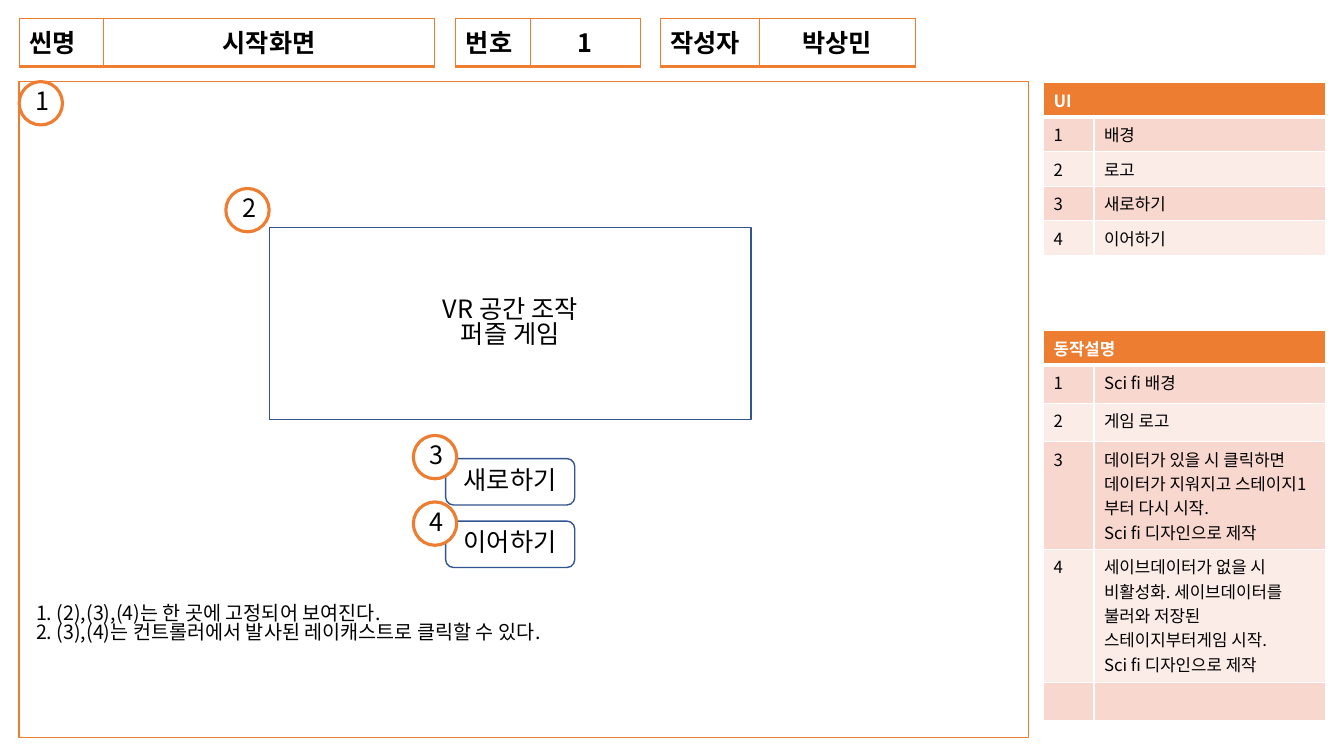
"""Builds the storyboard slide for the start screen of a VR puzzle game."""
import dataclasses

import lxml.etree
import pptx
import pptx.dml.color
import pptx.enum.shapes
import pptx.enum.text
import pptx.oxml.ns
import pptx.util

HEADS = [
    (19, (84, 328), ("씬명", "시작화면")),
    (452, (74, 109), ("번호", "1")),
    (655, (98, 155), ("작성자", "박상민")),
]
GUIDES = [
    (82, "UI", (33, 34, 34, 34, 34),
     [["배경"], ["로고"], ["새로하기"], ["이어하기"]]),
    (328, "동작설명", (33, 38, 38, 106, 132, 34),
     [["Sci fi 배경"], ["게임 로고"],
      ["데이터가 있을 시 클릭하면 데이터가 지워지고 스테이지1부터 다시 시작.",
       "Sci fi 디자인으로 제작"],
      ["세이브데이터가 없을 시 비활성화. 세이브데이터를 불러와 저장된 스테이지부터게임 시작.",
       "Sci fi 디자인으로 제작"],
      []]),
]
LOGO = ["VR 공간 조작", "퍼즐 게임"]
BUTTONS = ["새로하기", "이어하기"]
BADGES = [(19, 81), (224, 187), (410, 432), (410, 498)]
NOTES = [
    "1. (2),(3),(4)는 한 곳에 고정되어 보여진다.",
    "2. (3),(4)는 컨트롤러에서 발사된 레이캐스트로 클릭할 수 있다.",
]


@dataclasses.dataclass(frozen=True)
class Theme:
    font: str = "Noto Sans CJK KR"
    orange: str = "ED7D31"
    blue: str = "325491"
    dark: str = "F8D7CE"
    pale: str = "FCECE8"
    white: str = "FFFFFF"
    black: str = "000000"
    large: int = 18
    note: int = 14
    small: int = 12
    tight: float = 0.82


THEME = Theme()
KIND = pptx.enum.shapes.MSO_SHAPE
ALIGN = pptx.enum.text.PP_ALIGN
MIDDLE = pptx.enum.text.MSO_ANCHOR.MIDDLE
rgb = pptx.dml.color.RGBColor.from_string
tag = pptx.oxml.ns.qn


def px(size):
    return pptx.util.Emu(size * 9144)


def write(frame, lines, size=THEME.large, color=THEME.black, bold=False,
          align=ALIGN.LEFT, space=None):
    frame.word_wrap = True
    for index, line in enumerate(lines):
        para = frame.add_paragraph() if index else frame.paragraphs[0]
        para.alignment = align
        para.line_spacing = space
        run = para.add_run()
        run.text = line
        font = run.font
        font.name, font.size, font.bold = THEME.font, pptx.util.Pt(size), bold
        font.color.rgb = rgb(color)
        east = lxml.etree.SubElement(font._element, tag("a:ea"))
        east.set("typeface", THEME.font)


def add_shape(slide, kind, box, color, width=1, fill=None, lines=()):
    shape = slide.shapes.add_shape(kind, *map(px, box))
    shape.shadow.inherit = False
    shape.line.color.rgb = rgb(color)
    shape.line.width = pptx.util.Pt(width)
    if fill:
        shape.fill.solid()
        shape.fill.fore_color.rgb = rgb(fill)
    else:
        shape.fill.background()
    shape.text_frame.vertical_anchor = MIDDLE
    write(shape.text_frame, lines, align=ALIGN.CENTER, space=THEME.tight)


def paint(cell, color, base, fill=None):
    props = cell._tc.get_or_add_tcPr()
    for side, width in zip("LRTB", (1, 1, 1, base)):
        edge = lxml.etree.SubElement(props, tag("a:ln" + side), w=str(width * 12700))
        solid = lxml.etree.SubElement(edge, tag("a:solidFill"))
        lxml.etree.SubElement(solid, tag("a:srgbClr"), val=color)
    if fill:
        cell.fill.solid()
        cell.fill.fore_color.rgb = rgb(fill)
    else:
        cell.fill.background()


def add_table(slide, left, top, cols, rows):
    box = map(px, (left, top, sum(cols), sum(rows)))
    table = slide.shapes.add_table(len(rows), len(cols), *box).table
    table.first_row = table.horz_banding = False
    for col, width in zip(table.columns, cols):
        col.width = px(width)
    for row, height in zip(table.rows, rows):
        row.height = px(height)
    return table


def add_head(slide, left, cols, labels):
    table = add_table(slide, left, 18, cols, (48,))
    for col, label in enumerate(labels):
        cell = table.cell(0, col)
        paint(cell, THEME.orange, 2)
        write(cell.text_frame, [label], bold=True,
              align=ALIGN.CENTER if col else ALIGN.LEFT)


def add_guide(slide, top, title, rows, items):
    table = add_table(slide, 1035, top, (50, 230), rows)
    for cell in table.rows[0].cells:
        paint(cell, THEME.white, 3, THEME.orange)
    table.cell(0, 0).merge(table.cell(0, 1))
    write(table.cell(0, 0).text_frame, [title], THEME.small, THEME.white, bold=True)
    for row, item in enumerate(items, 1):
        fill = THEME.dark if row % 2 else THEME.pale
        number = [str(row)] if item else [""]
        for col, lines in enumerate((number, item or [""])):
            cell = table.cell(row, col)
            paint(cell, THEME.white, 1, fill)
            write(cell.text_frame, lines, THEME.small)


def main():
    deck = pptx.Presentation()
    deck.slide_width, deck.slide_height = px(1333), px(750)
    slide = deck.slides.add_slide(deck.slide_layouts[6])
    for head in HEADS:
        add_head(slide, *head)
    for guide in GUIDES:
        add_guide(slide, *guide)
    add_shape(slide, KIND.RECTANGLE, (19, 81, 1001, 651), THEME.orange)
    add_shape(slide, KIND.RECTANGLE, (267, 226, 478, 190), THEME.blue, lines=LOGO)
    for index, label in enumerate(BUTTONS):
        add_shape(slide, KIND.ROUNDED_RECTANGLE, (442, 455 + 62 * index, 128, 46),
                  THEME.blue, fill=THEME.white, lines=[label])
    for number, (left, top) in enumerate(BADGES, 1):
        add_shape(slide, KIND.OVAL, (left, top, 43, 43), THEME.orange,
                  width=2.25, fill=THEME.white, lines=[str(number)])
    notes = slide.shapes.add_textbox(*map(px, (26, 595, 984, 57)))
    write(notes.text_frame, NOTES, THEME.note, space=THEME.tight)
    deck.save("out.pptx")


if __name__ == "__main__":
    main()
